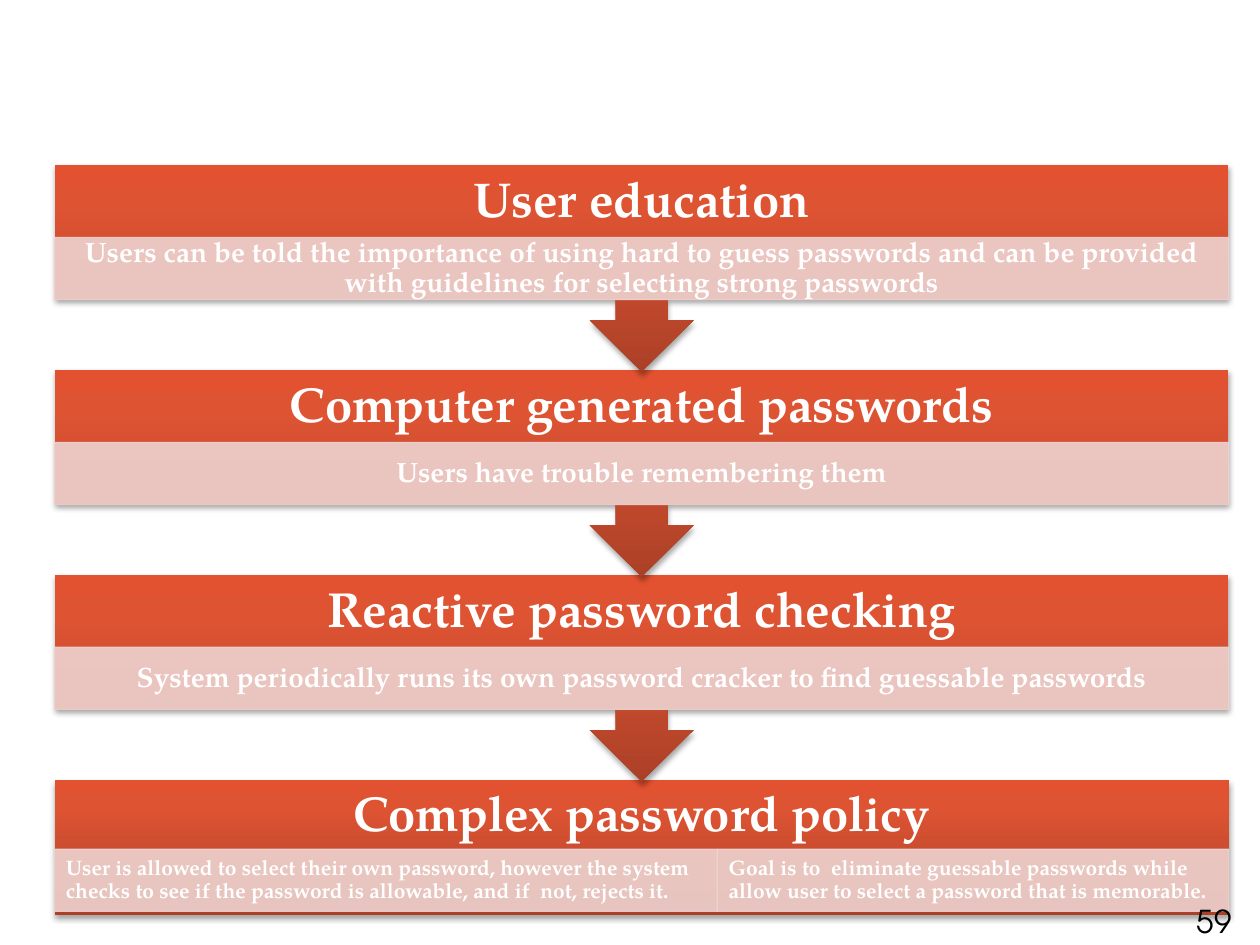
from lxml.etree import SubElement
from pptx import Presentation
from pptx.dml.color import RGBColor
from pptx.enum.shapes import MSO_SHAPE as Shape
from pptx.enum.text import MSO_ANCHOR as Anchor, PP_ALIGN as Align
from pptx.oxml import parse_xml
from pptx.oxml.ns import nsdecls, qn
from pptx.util import Cm, Pt

PAGE_NUMBER = "59"
STRATEGIES = [
    ("User education", [
        "Users can be told the importance of using hard to guess passwords and can be "
        "provided with guidelines for selecting strong passwords"]),
    ("Computer generated passwords", ["Users have trouble remembering them"]),
    ("Reactive password checking", [
        "System periodically runs its own password cracker to find guessable passwords"]),
    ("Complex password policy", [
        "User is allowed to select their own password, however the system checks to see "
        "if the password is allowable, and if  not, rejects it.",
        "Goal is to  eliminate guessable passwords while allow user to select a password "
        "that is memorable."]),
]

SERIF, SANS = "TeX Gyre Pagella", "TeX Gyre Adventor"
WHITE = RGBColor(0xFF, 0xFF, 0xFF)
BLACK = RGBColor(0, 0, 0)
PINK = RGBColor(0xEE, 0xD3, 0xD0)
GRADIENT = [(0, "AB4027"), (80, "DE5433"), (100, "E35230")]

LEFT, TOP, WIDTH, PITCH = 1.1, 3.33, 23.67, 4.13
CALLOUT_HEIGHT, LAST_HEIGHT = 4.17, 2.72
HEADER_HEIGHT, DETAIL_HEIGHT = 1.46, 1.25
LAST_DETAIL_TOP = 1.4
SPLIT_WIDTHS = [13.36, 10.31]


def write(box, text, size, color=WHITE, font=SERIF, bold=True, align=Align.CENTER,
          inset=(0.25, 0.13), spacing=0.9):
    frame = box.text_frame
    frame.word_wrap = True
    frame.vertical_anchor = Anchor.MIDDLE
    frame.margin_left = frame.margin_right = Cm(inset[0])
    frame.margin_top = frame.margin_bottom = Cm(inset[1])
    para = frame.paragraphs[0]
    para.alignment = align
    para.line_spacing = spacing
    span = para.add_run()
    span.text = text
    span.font.size = Pt(size)
    span.font.name = font
    span.font.bold = bold
    span.font.color.rgb = color


def add_block(page, kind, top, height):
    block = page.shapes.add_shape(kind, Cm(LEFT), Cm(top), Cm(WIDTH), Cm(height))
    stops = "".join(f'<a:gs pos="{pos * 1000}"><a:srgbClr val="{color}"/></a:gs>'
                    for pos, color in GRADIENT)
    block.line.fill.background()
    block.shadow.inherit = False
    props = block._element.spPr
    props.find(qn("a:prstGeom")).addnext(parse_xml(
        f'<a:gradFill {nsdecls("a")} rotWithShape="0"><a:gsLst>{stops}</a:gsLst>'
        '<a:lin ang="16200000" scaled="0"/></a:gradFill>'))
    props.find(qn("a:effectLst")).append(parse_xml(
        f'<a:outerShdw {nsdecls("a")} blurRad="{Pt(3.1)}" dist="{Pt(1.8)}" dir="5400000" '
        'rotWithShape="0"><a:srgbClr val="000000"><a:alpha val="35000"/></a:srgbClr>'
        '</a:outerShdw>'))
    return block


def add_detail(page, text, left, top, width, size, align, inset):
    detail = page.shapes.add_shape(Shape.RECTANGLE, Cm(left), Cm(top), Cm(width),
                                   Cm(DETAIL_HEIGHT))
    detail.shadow.inherit = False
    detail.fill.solid()
    detail.fill.fore_color.rgb = PINK
    detail.line.color.rgb = PINK
    detail.line.width = Pt(0.75)
    for color in detail._element.spPr.iter(qn("a:srgbClr")):
        SubElement(color, qn("a:alpha"), val="90000")
    write(detail, text, size, align=align, inset=(inset, 0.05))


def add_strategy(page, index, heading, details):
    top = TOP + index * PITCH
    last = index == len(STRATEGIES) - 1
    if last:
        add_block(page, Shape.RECTANGLE, top, LAST_HEIGHT)
    else:
        add_block(page, Shape.UP_ARROW_CALLOUT, top, CALLOUT_HEIGHT).rotation = 180
    header = page.shapes.add_textbox(Cm(LEFT), Cm(top), Cm(WIDTH), Cm(HEADER_HEIGHT))
    write(header, heading, 28, inset=(0.56, 0.56))

    detail_top = top + (LAST_DETAIL_TOP if last else HEADER_HEIGHT)
    style = (12, Align.LEFT, 0.23) if last else (16, Align.CENTER, 0.3)
    left = LEFT
    for text, width in zip(details, SPLIT_WIDTHS if last else [WIDTH]):
        add_detail(page, text, left, detail_top, width, *style)
        left += width


def main():
    deck = Presentation()
    deck.slide_width, deck.slide_height = Cm(25.4), Cm(19.05)
    page = deck.slides.add_slide(deck.slide_layouts[6])

    for index, (heading, details) in reversed(list(enumerate(STRATEGIES))):
        add_strategy(page, index, heading, details)

    number = page.shapes.add_textbox(Cm(24.05), Cm(18.06), Cm(1.42), Cm(1.02))
    write(number, PAGE_NUMBER, 18, BLACK, SANS, bold=False, align=Align.LEFT,
          inset=(0.08, 0.13), spacing=1.0)
    deck.save("out.pptx")


if __name__ == "__main__":
    main()
